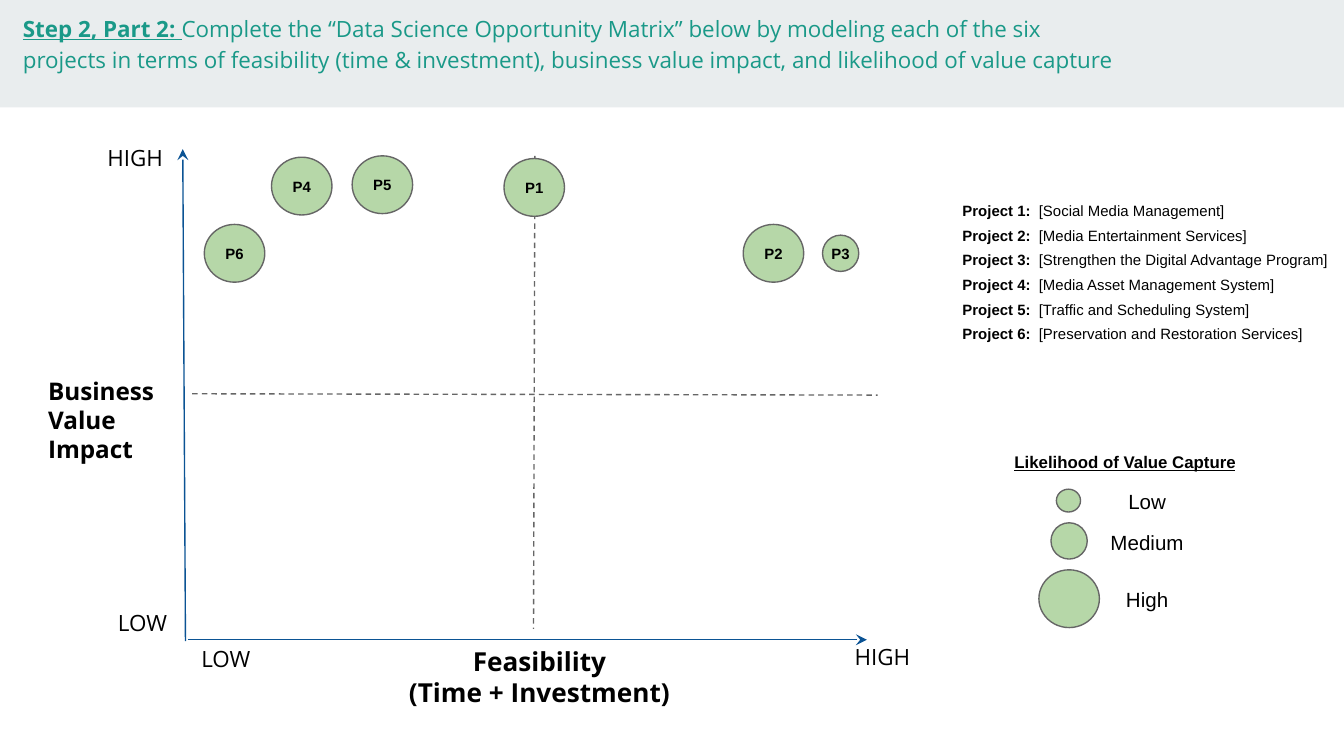
from dataclasses import dataclass

from lxml import etree
from pptx import Presentation
from pptx.dml.color import RGBColor
from pptx.enum.dml import MSO_LINE
from pptx.enum.shapes import MSO_CONNECTOR, MSO_SHAPE
from pptx.enum.text import MSO_ANCHOR, MSO_AUTO_SIZE, PP_ALIGN
from pptx.oxml.ns import qn
from pptx.util import Inches, Pt

LEFT, CENTER, RIGHT = PP_ALIGN.LEFT, PP_ALIGN.CENTER, PP_ALIGN.RIGHT
TOP, MIDDLE, BOTTOM = MSO_ANCHOR.TOP, MSO_ANCHOR.MIDDLE, MSO_ANCHOR.BOTTOM
OVAL, RECT = MSO_SHAPE.OVAL, MSO_SHAPE.RECTANGLE
STRAIGHT, DASH = MSO_CONNECTOR.STRAIGHT, MSO_LINE.DASH
NO_AUTOFIT = MSO_AUTO_SIZE.NONE
TITLE_ONLY = 5


@dataclass(frozen=True)
class Theme:
    band: RGBColor = RGBColor(0xE9, 0xED, 0xEE)
    title: RGBColor = RGBColor(0x1A, 0x99, 0x88)
    axis: RGBColor = RGBColor(0x0B, 0x53, 0x94)
    outline: RGBColor = RGBColor(0x66, 0x66, 0x66)
    bubble: RGBColor = RGBColor(0xB6, 0xD7, 0xA8)
    ink: RGBColor = RGBColor(0, 0, 0)
    display: str = "Open Sans"
    body: str = "Arial"
    title_pt: int = 12
    x_axis_pt: int = 14
    y_axis_pt: int = 13
    scale_pt: int = 12
    legend_pt: int = 11
    legend_title_pt: int = 9
    small_pt: int = 8
    line_pt: float = 0.75


THEME = Theme()


@dataclass(frozen=True)
class Style:
    font: str
    size: int
    bold: bool = False
    underline: bool = False
    color: RGBColor = THEME.ink


@dataclass(frozen=True)
class Label:
    lines: tuple[str, ...]
    box: tuple[float, float, float, float]
    style: Style
    align: PP_ALIGN = LEFT


@dataclass(frozen=True)
class Bubble:
    x: float
    y: float
    size: tuple[float, float]
    text: str = ""


@dataclass(frozen=True)
class Rule:
    start: tuple[float, float]
    end: tuple[float, float]
    color: RGBColor
    is_axis: bool = False


TITLE = Style(THEME.display, THEME.title_pt, color=THEME.title)
TITLE_LEAD = Style(THEME.display, THEME.title_pt, True, True, THEME.title)
SCALE = Style(THEME.display, THEME.scale_pt)
X_AXIS = Style(THEME.display, THEME.x_axis_pt, True)
Y_AXIS = Style(THEME.display, THEME.y_axis_pt, True)
LEGEND = Style(THEME.body, THEME.legend_pt)
LEGEND_TITLE = Style(THEME.body, THEME.legend_title_pt, True, True)
SMALL = Style(THEME.body, THEME.small_pt)
SMALL_BOLD = Style(THEME.body, THEME.small_pt, True)

LOW, MEDIUM, HIGH = (0.18, 0.17), (0.27, 0.27), (0.45, 0.43)

RULES = (
    Rule((3.98, 1.16), (3.97, 4.68), THEME.outline),
    Rule((1.43, 2.93), (6.53, 2.94), THEME.outline),
    Rule((1.36, 1.11), (1.38, 4.77), THEME.axis, True),
    Rule((6.45, 4.76), (1.4, 4.76), THEME.axis, True),
)
LABELS = (
    Label(("Business Value Impact",), (0.26, 2.7, 1.18, 0.45), Y_AXIS),
    Label(("Feasibility", "(Time + Investment)"), (2.28, 4.7, 3.47, 0.45), X_AXIS, CENTER),
    Label(("HIGH",), (0.7, 0.99, 0.82, 0.17), SCALE),
    Label(("LOW",), (1.4, 4.7, 0.67, 0.24), SCALE),
    Label(("LOW",), (0.78, 4.43, 0.67, 0.24), SCALE),
    Label(("HIGH",), (6.26, 4.7, 0.82, 0.17), SCALE),
    Label(("Likelihood of Value Capture",), (7.45, 3.26, 1.86, 0.37), LEGEND_TITLE),
    Label(("Low",), (8.14, 3.54, 0.79, 0.37), LEGEND, CENTER),
    Label(("Medium",), (8.14, 3.84, 0.79, 0.37), LEGEND, CENTER),
    Label(("High",), (8.14, 4.27, 0.79, 0.37), LEGEND, CENTER),
)
BUBBLES = (
    Bubble(7.86, 3.64, LOW),
    Bubble(7.82, 3.89, MEDIUM),
    Bubble(7.73, 4.24, HIGH),
    Bubble(3.75, 1.18, HIGH, "P1"),
    Bubble(6.12, 1.75, MEDIUM, "P3"),
    Bubble(5.53, 1.67, HIGH, "P2"),
    Bubble(2.02, 1.17, HIGH, "P4"),
    Bubble(2.62, 1.16, HIGH, "P5"),
    Bubble(1.52, 1.67, HIGH, "P6"),
)
PROJECTS = (
    "Social Media Management",
    "Media Entertainment Services",
    "Strengthen the Digital Advantage Program",
    "Media Asset Management System",
    "Traffic and Scheduling System",
    "Preservation and Restoration Services",
)


def add_run(p, text: str, style: Style) -> None:
    r = p.add_run()
    r.text = text
    r.font.name, r.font.size = style.font, Pt(style.size)
    r.font.bold, r.font.underline = style.bold, style.underline
    r.font.color.rgb = style.color


def set_frame(tf, inset: float, anchor: MSO_ANCHOR) -> None:
    tf.word_wrap, tf.auto_size, tf.vertical_anchor = True, NO_AUTOFIT, anchor
    tf.margin_left = tf.margin_right = tf.margin_top = tf.margin_bottom = Inches(inset)


def add_header(s) -> None:
    """Put the band behind the title placeholder and fill in the title."""
    band = s.shapes.add_shape(RECT, 0, 0, Inches(10), Inches(0.8))
    band.shadow.inherit = False
    band.fill.solid()
    band.fill.fore_color.rgb = THEME.band
    band.line.fill.background()
    title = s.shapes.title
    title._element.addprevious(band._element)
    title.left, title.top = Inches(0.07), Inches(-0.02)
    title.width, title.height = Inches(8.44), Inches(0.37)
    set_frame(title.text_frame, 0.1, TOP)
    p = title.text_frame.paragraphs[0]
    p.alignment, p.line_spacing = LEFT, 1.15
    add_run(p, "Step 2, Part 2: ", TITLE_LEAD)
    add_run(p, "Complete the “Data Science Opportunity Matrix” below by modeling each of the six "
               "projects in terms of feasibility (time & investment), business value impact, "
               "and likelihood of value capture", TITLE)


def add_rule(s, rule: Rule) -> None:
    """Draw a dashed midline, or an axis with its arrowhead at the start."""
    line = s.shapes.add_connector(STRAIGHT, *map(Inches, rule.start + rule.end))
    line.line.color.rgb, line.line.width = rule.color, Pt(THEME.line_pt)
    if rule.is_axis:
        etree.SubElement(line.line._get_or_add_ln(), qn("a:headEnd"), type="stealth")
    else:
        line.line.dash_style = DASH
    etree.SubElement(line._element.spPr, qn("a:effectLst"))


def add_label(s, label: Label) -> None:
    tf = s.shapes.add_textbox(*map(Inches, label.box)).text_frame
    set_frame(tf, 0.1, TOP)
    for i, text in enumerate(label.lines):
        p = tf.add_paragraph() if i else tf.paragraphs[0]
        p.alignment = label.align
        add_run(p, text, label.style)


def add_bubble(s, bubble: Bubble) -> None:
    sp = s.shapes.add_shape(OVAL, *map(Inches, (bubble.x, bubble.y, *bubble.size)))
    sp.shadow.inherit = False
    sp.fill.solid()
    sp.fill.fore_color.rgb = THEME.bubble
    sp.line.color.rgb, sp.line.width = THEME.outline, Pt(THEME.line_pt)
    if bubble.text:
        set_frame(sp.text_frame, 0, MIDDLE)
        p = sp.text_frame.paragraphs[0]
        p.alignment = CENTER
        add_run(p, bubble.text, SMALL_BOLD)


def add_projects(s) -> None:
    box = map(Inches, (7.03, 1.47, 3.05, 1.09))
    table = s.shapes.add_table(len(PROJECTS), 2, *box).table
    table.first_row = table.horz_banding = False
    table.columns[0].width, table.columns[1].width = Inches(0.67), Inches(2.38)
    for i, name in enumerate(PROJECTS):
        entries = ((f"Project {i + 1}:", SMALL_BOLD, RIGHT), (f"[{name}]", SMALL, LEFT))
        for cell, (text, style, align) in zip(table.rows[i].cells, entries):
            cell.fill.background()
            cell.vertical_anchor = BOTTOM
            cell.margin_left = cell.margin_right = Inches(0.03)
            cell.margin_top = cell.margin_bottom = Inches(0.02)
            p = cell.text_frame.paragraphs[0]
            p.alignment, p.line_spacing = align, 1.15
            add_run(p, text, style)


def main() -> None:
    prs = Presentation()
    prs.slide_width = Inches(10)
    prs.slide_height = prs.slide_width * 9 // 16
    s = prs.slides.add_slide(prs.slide_layouts[TITLE_ONLY])
    add_header(s)
    for rule in RULES:
        add_rule(s, rule)
    for label in LABELS:
        add_label(s, label)
    add_projects(s)
    for bubble in BUBBLES:
        add_bubble(s, bubble)
    prs.save("out.pptx")


if __name__ == "__main__":
    main()
